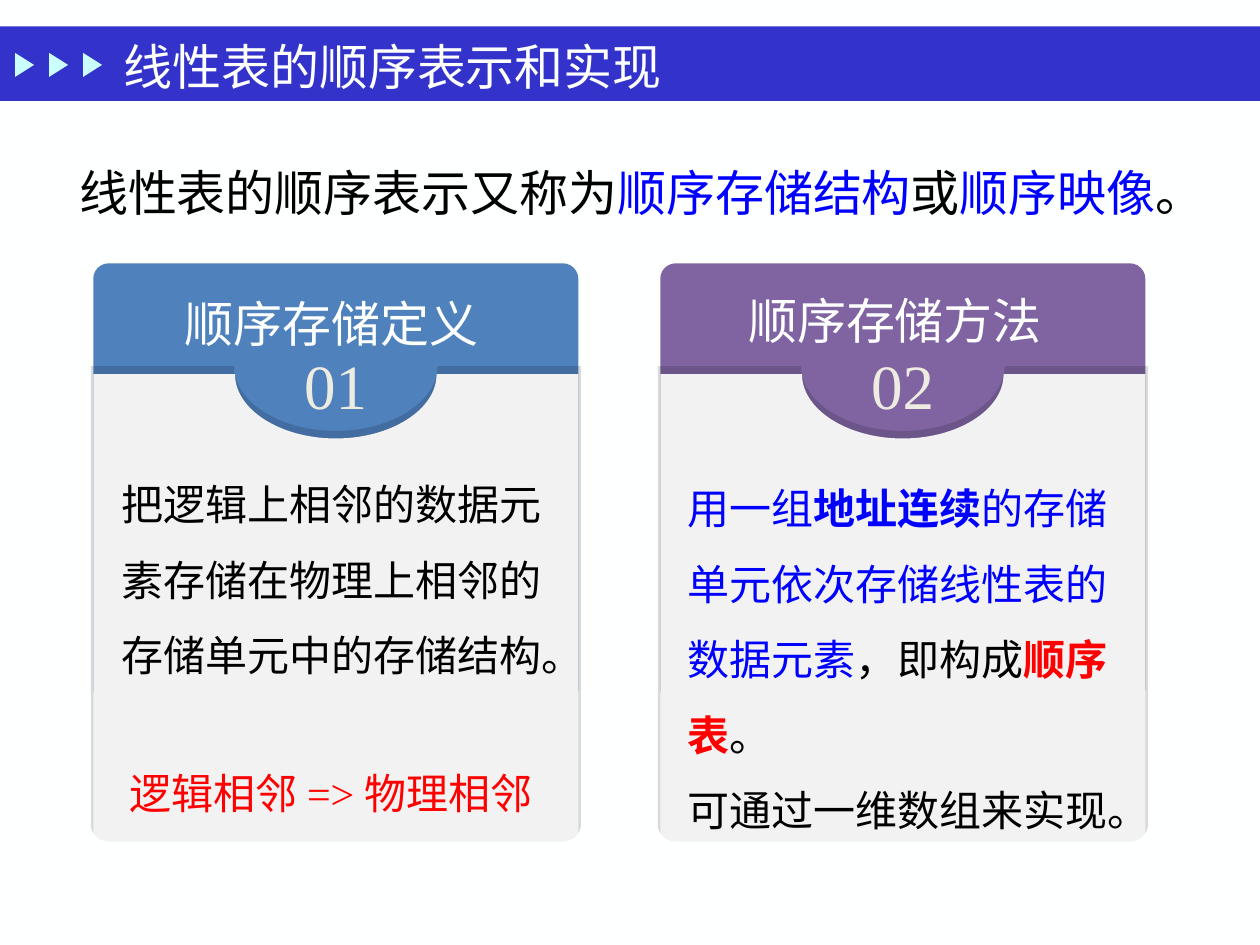
import lxml.etree
import pptx
import pptx.dml.color
import pptx.enum.lang
import pptx.enum.shapes
import pptx.enum.text
import pptx.oxml.ns
import pptx.util

Inches = pptx.util.Inches
Shape = pptx.enum.shapes.MSO_SHAPE
Align = pptx.enum.text.PP_ALIGN
Anchor = pptx.enum.text.MSO_ANCHOR
qn = pptx.oxml.ns.qn
FONT = "Times New Roman"
COLORS = {
    "paper": "FEFFFF", "band": "3333CC", "arrow": "CBFFFF", "ink": "000000",
    "term": "0000FF", "key": "FF0000", "blue": "4F81BD", "purple": "8064A2",
    "panel": "F2F2F2", "number": "EEECE1",
}


def rgb(name):
    """Return the named colour."""
    return pptx.dml.color.RGBColor.from_string(COLORS[name])


def paint(shape, color):
    """Give a shape a plain fill without line or shadow."""
    shape.shadow.inherit = False
    shape.fill.solid()
    shape.fill.fore_color.rgb = rgb(color)
    shape.line.fill.background()


def plain(text, color="ink", bold=False):
    """Describe one run."""
    return text, color, bold


def write_runs(paragraph, runs, size):
    """Add runs given as (text, colour, bold)."""
    for text, color, bold in runs:
        run = paragraph.add_run()
        run.text = text
        run.font.name = FONT
        run.font.size = pptx.util.Pt(size)
        run.font.bold = bold
        run.font.color.rgb = rgb(color)
        run.font.language_id = pptx.enum.lang.MSO_LANGUAGE_ID.SIMPLIFIED_CHINESE


def add_text(shapes, box, paragraphs, size, line_spacing=1.3, align=Align.LEFT, wrap=True):
    """Place a text box holding a list of paragraphs."""
    frame = shapes.add_textbox(*map(Inches, box)).text_frame
    frame.word_wrap = wrap
    if wrap:
        frame.auto_size = pptx.enum.text.MSO_AUTO_SIZE.SHAPE_TO_FIT_TEXT
    for index, runs in enumerate(paragraphs):
        paragraph = frame.add_paragraph() if index else frame.paragraphs[0]
        paragraph.alignment = align
        paragraph.line_spacing = line_spacing
        write_runs(paragraph, runs, size)


def add_title_band(slide, box, text):
    """Draw the band with its three arrows and move the title onto it."""
    left, top, width, height = box
    band = slide.shapes.add_shape(Shape.RECTANGLE, *map(Inches, box))
    paint(band, "band")
    arrows = slide.shapes.add_group_shape()
    for index in range(3):
        arrow = arrows.shapes.add_shape(
            Shape.ISOSCELES_TRIANGLE, Inches(left + 0.1 + 0.27 * index),
            Inches(top + 0.23), Inches(0.19), Inches(0.15))
        arrow.rotation = 90
        paint(arrow, "arrow")
    title = slide.shapes.title
    title.left, title.top = Inches(left + 0.88), Inches(top - 0.06)
    title.width, title.height = Inches(6.73), Inches(0.75)
    frame = title.text_frame
    frame.word_wrap = True
    frame.auto_size = pptx.enum.text.MSO_AUTO_SIZE.NONE
    frame.vertical_anchor = Anchor.MIDDLE
    frame.paragraphs[0].alignment = Align.LEFT
    write_runs(frame.paragraphs[0], [plain(text, "paper")], 28)
    band._element.getparent().append(title._element)


def bend(shape, starts):
    """Turn each three segments from the given indexes into one Bezier curve."""
    segments = list(shape._element.iter(qn("a:lnTo")))
    for start in starts:
        curve = lxml.etree.Element(qn("a:cubicBezTo"))
        segments[start].addprevious(curve)
        for segment in segments[start:start + 3]:
            curve.append(segment[0])
            segment.getparent().remove(segment)


def add_panel(shapes, left, top, width, height):
    """Draw the card's lower panel with its half-round notch and upward shadow."""
    right, bottom, middle = left + width, top + height, left + width / 2
    notch_x, notch_y, corner_x, corner_y = 0.8, 0.51, 0.14, 0.09
    points = [
        (middle - notch_x, top),
        (middle - notch_x, top + 0.28), (middle - 0.44, top + notch_y), (middle, top + notch_y),
        (middle + 0.44, top + notch_y), (middle + notch_x, top + 0.28), (middle + notch_x, top),
        (right, top),
        (right, bottom - corner_y),
        (right, bottom - 0.04), (right - 0.06, bottom), (right - corner_x, bottom),
        (left + corner_x, bottom),
        (left + 0.06, bottom), (left, bottom - 0.04), (left, bottom - corner_y),
    ]
    builder = shapes.build_freeform(Inches(left), Inches(top))
    builder.add_line_segments([(Inches(x), Inches(y)) for x, y in points], close=True)
    panel = builder.convert_to_shape()
    bend(panel, (1, 4, 9, 13))
    paint(panel, "panel")
    effects = panel._element.spPr.find(qn("a:effectLst"))
    shadow = lxml.etree.SubElement(
        effects, qn("a:outerShdw"), blurRad="0", dist="25400", dir="16200000",
        sx="101000", sy="101000", algn="b", rotWithShape="0")
    tone = lxml.etree.SubElement(shadow, qn("a:srgbClr"), val=COLORS["ink"])
    lxml.etree.SubElement(tone, qn("a:alpha"), val="14000")


def add_card(slide, box, color, number):
    """Draw a numbered card with a coloured head."""
    left, top, width, height = box
    shapes = slide.shapes.add_group_shape().shapes
    head = shapes.add_shape(Shape.ROUNDED_RECTANGLE, Inches(left), Inches(top),
                            Inches(width), Inches(3.5))
    head.adjustments[0] = 0.035
    paint(head, color)
    add_panel(shapes, left, top + 0.88, width, height - 0.88)
    add_text(shapes, (left + width / 2 - 0.385, top + 0.61, 0.77, 0.67),
             [[plain(number, "number")]], 36, 1.0, Align.CENTER, wrap=False)


def add_definition(slide, box):
    """Fill the first card."""
    left, top = box[:2]
    add_card(slide, box, "blue", "01")
    add_text(slide.shapes, (left + 0.63, top + 0.05, 2.6, 0.65),
             [[plain("顺序存储定义", "paper")]], 28)
    add_text(slide.shapes, (left + 0.13, top + 1.46, 3.56, 1.85),
             [[plain("把逻辑上相邻的数据元素存储在物理上相邻的存储单元中的存储结构。")]], 24, 1.5)
    add_text(slide.shapes, (left + 0.11, top + 3.83, 3.56, 0.57),
             [[plain("逻辑相邻 => 物理相邻", "key")]], 24, align=Align.CENTER)


def add_method(slide, box):
    """Fill the second card."""
    left, top = box[:2]
    add_card(slide, box, "purple", "02")
    add_text(slide.shapes, (left + 0.6, top + 0.03, 2.84, 0.65),
             [[plain("顺序存储方法", "paper")]], 28)
    add_text(slide.shapes, (left + 0.12, top + 1.49, 3.62, 3.06), [
        [plain("用一组", "term"), plain("地址连续", "term", True),
         plain("的存储单元依次存储线性表的数据元素", "term"), plain("，即构成"),
         plain("顺序表", "key", True), plain("。")],
        [plain("可通过一维数组来实现。")],
    ], 24, 1.5)


def main():
    """Build and save the slide."""
    deck = pptx.Presentation()
    deck.slide_width, deck.slide_height = Inches(10), Inches(7.5)
    slide = deck.slides.add_slide(deck.slide_layouts.get_by_name("Title Only"))
    slide.background.fill.solid()
    slide.background.fill.fore_color.rgb = rgb("paper")
    add_title_band(slide, (0, 0.21, 10, 0.59), "线性表的顺序表示和实现")
    add_text(slide.shapes, (0.53, 1.1, 9, 0.65), [[
        plain("线性表的顺序表示又称为"), plain("顺序存储结构", "term"), plain("或"),
        plain("顺序映像", "term"), plain("。")]], 28)
    add_definition(slide, (0.74, 2.09, 3.85, 4.59))
    add_method(slide, (5.24, 2.09, 3.85, 4.59))
    deck.save("out.pptx")


if __name__ == "__main__":
    main()
